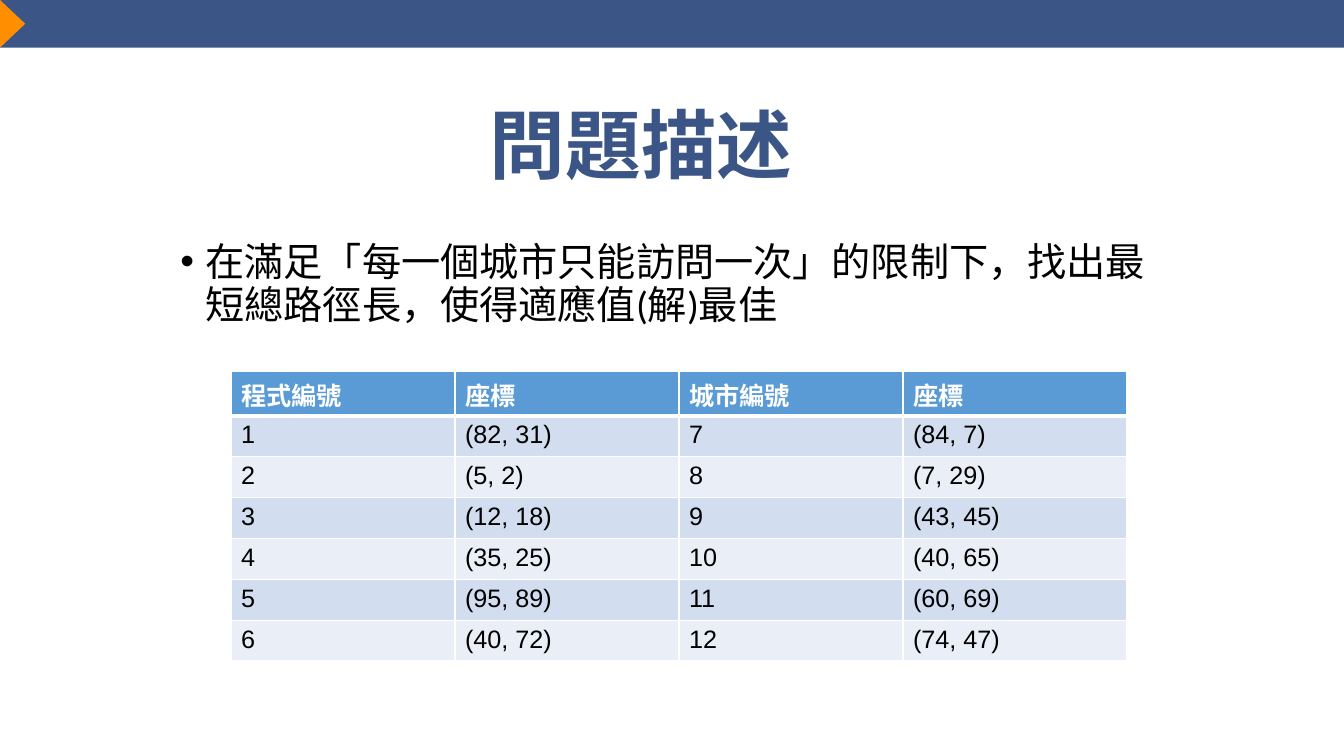
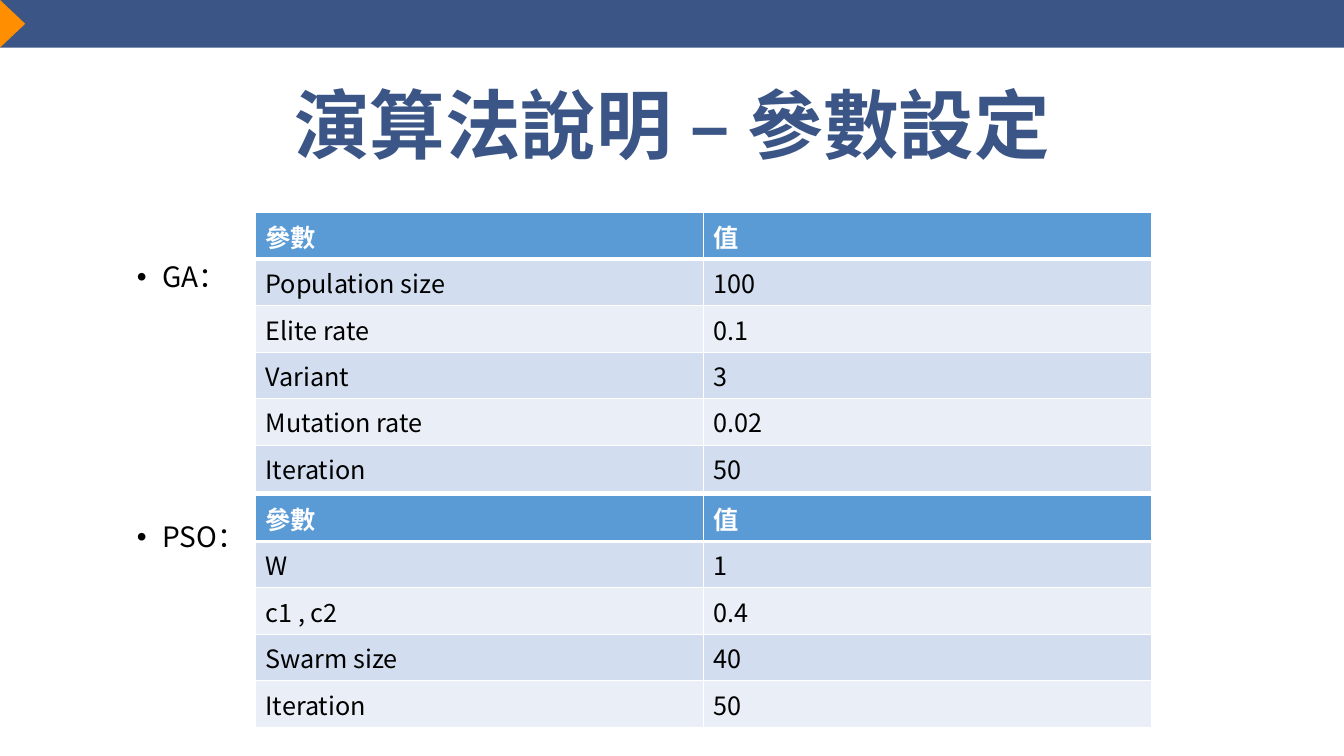
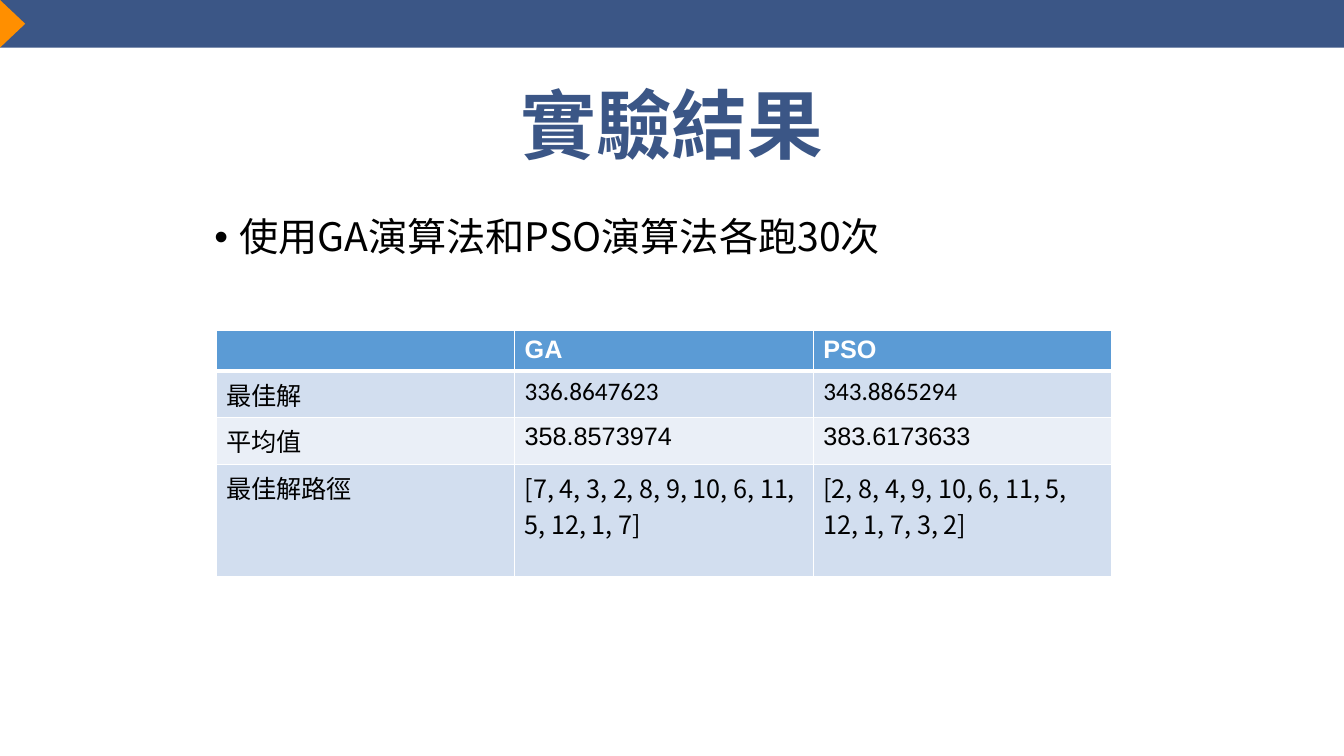
from pptx import Presentation
from pptx.dml.color import RGBColor
from pptx.enum.shapes import MSO_SHAPE
from pptx.enum.text import MSO_ANCHOR, MSO_AUTO_SIZE, PP_ALIGN
from pptx.oxml.ns import qn
from pptx.util import Pt
from lxml.etree import SubElement

NAVY = RGBColor(0x3B, 0x56, 0x86)
ORANGE = RGBColor(0xFF, 0x8F, 0x00)
BLUE = RGBColor(0x5B, 0x9B, 0xD5)
PALE = RGBColor(0xD2, 0xDE, 0xEF)
PALER = RGBColor(0xEA, 0xEF, 0xF7)
WHITE = RGBColor(0xFF, 0xFF, 0xFF)
BLACK = RGBColor(0, 0, 0)

CJK = "Noto Sans CJK SC"
CJK_JP = "Noto Sans CJK JP"
SLIDE_W, SLIDE_H = 960, 540
BAND_H, MARKER_W = 34, 18
TITLE_W, TITLE_H = 828, 104.4
TABLE_W = 640

# Boxes are (left, top, width, height); row_fonts gives each row's Latin font.
SLIDES = [
    {
        "title": "問題描述",
        "title_at": (44, 54),
        "bullets": {
            "lines": ["在滿足「每一個城市只能訪問一次」的限制下，找出最短總路徑長，使得適應值(解)最佳"],
            "box": (121.7, 168.5, 716.4, 72), "size": 28, "font": "Calibri",
            "anchor": MSO_ANCHOR.TOP, "spacing": Pt(31), "gap": 0,
        },
        "tables": [{
            "at": (165, 265),
            "rows": [
                ("程式編號", "座標", "城市編號", "座標"),
                ("1", "(82, 31)", "7", "(84, 7)"),
                ("2", "(5, 2)", "8", "(7, 29)"),
                ("3", "(12, 18)", "9", "(43, 45)"),
                ("4", "(35, 25)", "10", "(40, 65)"),
                ("5", "(95, 89)", "11", "(60, 69)"),
                ("6", "(40, 72)", "12", "(74, 47)"),
            ],
            "heights": [32] + [29.2] * 6,
            "row_fonts": ["Arial"] * 7,
        }],
    },
    {
        "title": "演算法說明 – 參數設定",
        "title_at": (66, 40),
        "bullets": {
            "lines": ["GA：", "PSO："],
            "box": (90.7, 188.6, 770, 206), "size": 20, "font": CJK_JP,
            "anchor": MSO_ANCHOR.MIDDLE, "spacing": 0.9, "gap": 164,
        },
        "tables": [
            {
                "at": (182.5, 152),
                "rows": [
                    ("參數", "值"),
                    ("Population size", "100"),
                    ("Elite rate", "0.1"),
                    ("Variant", "3"),
                    ("Mutation rate", "0.02"),
                    ("Iteration", "50"),
                ],
                "heights": [33.2] * 6,
                "row_fonts": [CJK] * 6,
            },
            {
                "at": (182.5, 353.5),
                "rows": [
                    ("參數", "值"),
                    ("W", "1"),
                    ("c1 , c2", "0.4"),
                    ("Swarm size", "40"),
                    ("Iteration", "50"),
                ],
                "heights": [33.2] * 5,
                "row_fonts": [CJK] * 5,
            },
        ],
    },
    {
        "title": "實驗結果",
        "title_at": (66, 40),
        "bullets": {
            "lines": ["使用GA演算法和PSO演算法各跑30次"],
            "box": (146, 135, 540.7, 71.3), "size": 28, "font": CJK,
            "anchor": MSO_ANCHOR.MIDDLE, "spacing": 0.9, "gap": 0,
        },
        "tables": [{
            "at": (154.3, 236.3),
            "rows": [
                ("", "GA", "PSO"),
                ("最佳解", "336.8647623", "343.8865294"),
                ("平均值", "358.8573974", "383.6173633"),
                ("最佳解路徑", "[7, 4, 3, 2, 8, 9, 10, 6, 11, 5, 12, 1, 7]",
                 "[2, 8, 4, 9, 10, 6, 11, 5, 12, 1, 7, 3, 2]"),
            ],
            "heights": [28.5, 33.2, 33.2, 80.6],
            "row_fonts": ["Arial", "Calibri", "Arial", CJK],
        }],
    },
]


def add_run(p, text, font, size, color, bold=False):
    """Add a run whose East Asian font is a CJK one, whatever its Latin font."""
    r = p.add_run()
    r.text = text
    r.font.name, r.font.size = font, Pt(size)
    r.font.bold, r.font.color.rgb = bold, color
    east_asian = font if font == CJK_JP else CJK
    SubElement(r.font._element, qn("a:ea"), typeface=east_asian)


def add_band(s):
    band = s.shapes.add_shape(MSO_SHAPE.RECTANGLE, 0, 0, Pt(SLIDE_W), Pt(BAND_H))
    # A quarter turn swaps the marker's sides around its centre.
    shift = (BAND_H - MARKER_W) / 2
    marker = s.shapes.add_shape(MSO_SHAPE.ISOSCELES_TRIANGLE, Pt(-shift), Pt(shift),
                                Pt(BAND_H), Pt(MARKER_W))
    marker.rotation = 90
    for sp, color in ((band, NAVY), (marker, ORANGE)):
        sp.shadow.inherit = False
        sp.fill.solid()
        sp.fill.fore_color.rgb = color
        sp.line.fill.background()


def set_title(s, text, at):
    sp = s.shapes.title
    sp.left, sp.top = map(Pt, at)
    sp.width, sp.height = Pt(TITLE_W), Pt(TITLE_H)
    tf = sp.text_frame
    tf.word_wrap, tf.auto_size = True, MSO_AUTO_SIZE.NONE
    tf.vertical_anchor = MSO_ANCHOR.MIDDLE
    p = tf.paragraphs[0]
    p.alignment, p.line_spacing = PP_ALIGN.CENTER, 0.9
    add_run(p, text, CJK, 54, NAVY, True)


def add_bullets(s, lines, box, size, font, anchor, spacing, gap):
    tf = s.shapes.add_textbox(*map(Pt, box)).text_frame
    tf.word_wrap, tf.vertical_anchor = True, anchor
    for i, line in enumerate(lines):
        p = tf.add_paragraph() if i else tf.paragraphs[0]
        p.line_spacing = spacing
        p.space_before = Pt(gap if i else 0)
        pPr = p._p.get_or_add_pPr()
        pPr.set("marL", str(Pt(18)))
        pPr.set("indent", str(Pt(-18)))
        SubElement(pPr, qn("a:buFont"), typeface="Arial")
        SubElement(pPr, qn("a:buChar"), char="•")
        add_run(p, line, font, size, BLACK)


def set_borders(cell, top, bottom):
    """Draw white borders; they must come before the cell's fill in the XML."""
    tcPr = cell._tc.get_or_add_tcPr()
    for side, width in (("L", 1), ("R", 1), ("T", top), ("B", bottom)):
        ln = SubElement(tcPr, qn(f"a:ln{side}"), w=str(Pt(width)))
        SubElement(SubElement(ln, qn("a:solidFill")), qn("a:srgbClr"), val=str(WHITE))


def add_table(s, at, rows, heights, row_fonts):
    n_cols = len(rows[0])
    table = s.shapes.add_table(len(rows), n_cols, *map(Pt, at),
                               Pt(TABLE_W), Pt(sum(heights))).table
    table.horz_banding = False
    for col in table.columns:
        col.width = Pt(TABLE_W / n_cols)
    for i, (row, height, font) in enumerate(zip(rows, heights, row_fonts)):
        table.rows[i].height = Pt(height)
        header = i == 0
        for j, text in enumerate(row):
            cell = table.cell(i, j)
            set_borders(cell, 3 if i == 1 else 1, 3 if header else 1)
            cell.fill.solid()
            cell.fill.fore_color.rgb = BLUE if header else (PALER, PALE)[i % 2]
            add_run(cell.text_frame.paragraphs[0], text, font, 18,
                    WHITE if header else BLACK, header)


def main():
    prs = Presentation()
    prs.slide_width, prs.slide_height = Pt(SLIDE_W), Pt(SLIDE_H)
    for content in SLIDES:
        s = prs.slides.add_slide(prs.slide_layouts[5])
        add_band(s)
        set_title(s, content["title"], content["title_at"])
        add_bullets(s, **content["bullets"])
        for table in content["tables"]:
            add_table(s, **table)
    prs.save("out.pptx")


if __name__ == "__main__":
    main()
